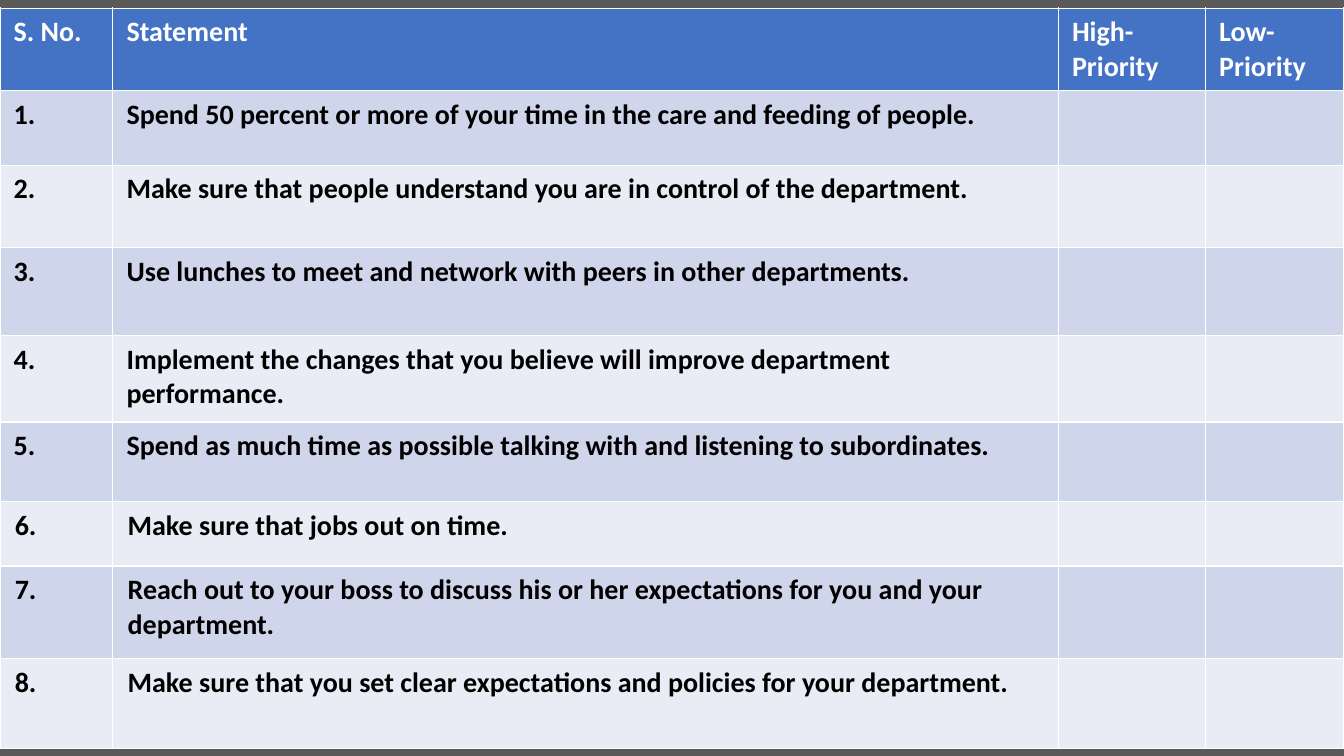
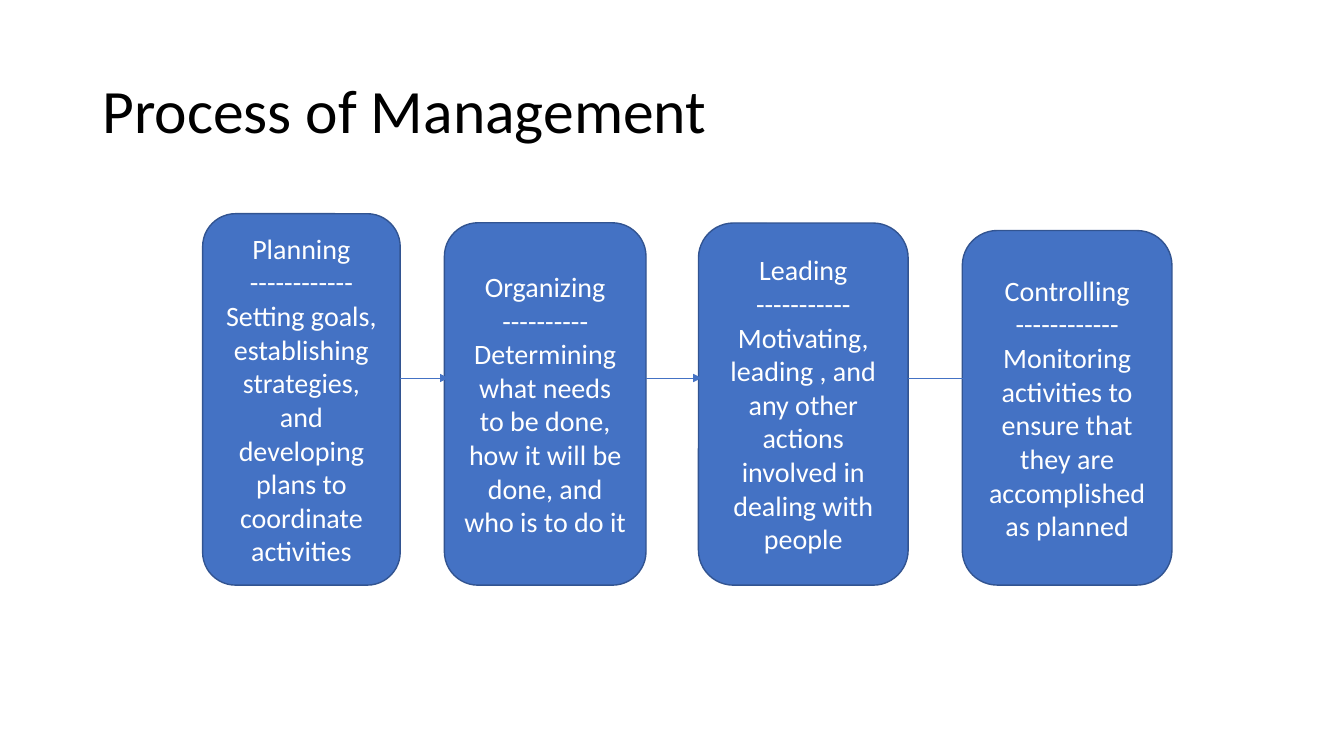
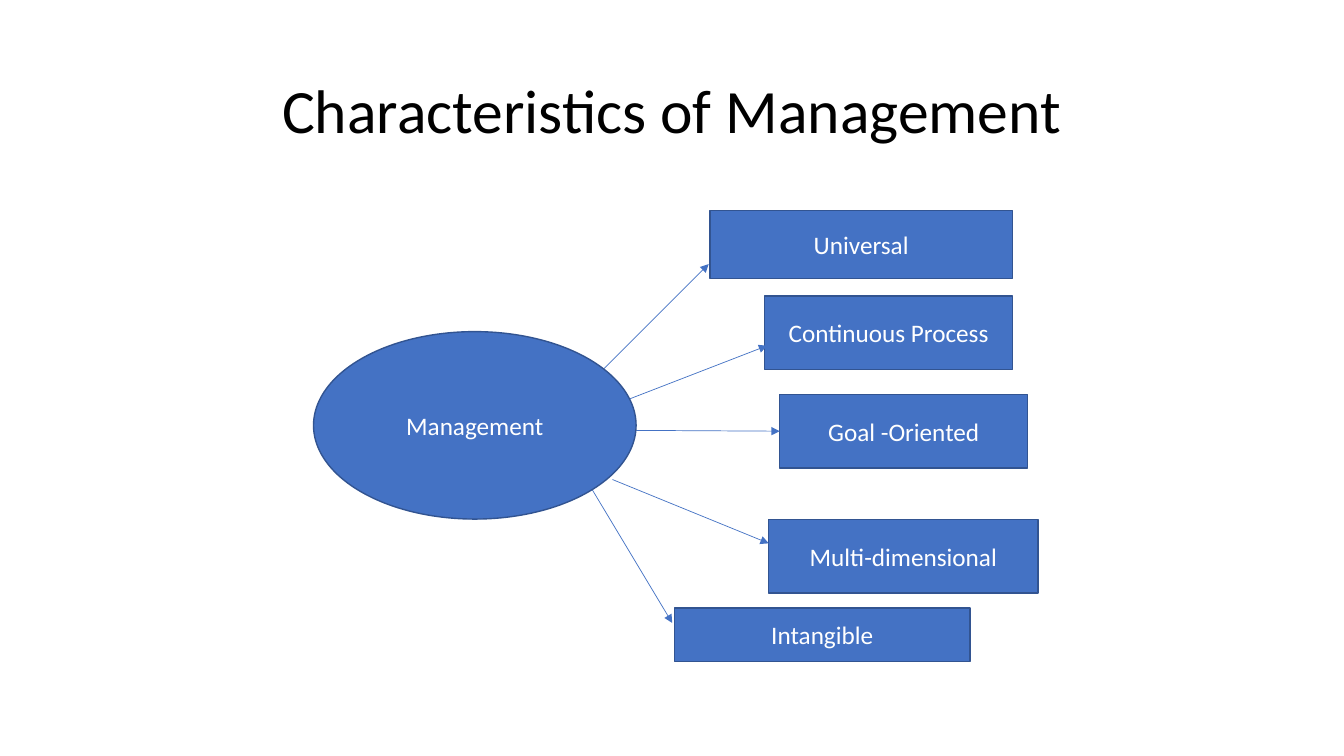
from dataclasses import dataclass
from lxml import etree
from pptx import Presentation, util as u
from pptx.dml.color import RGBColor
from pptx.enum import shapes, text
from pptx.oxml import ns


@dataclass(frozen=True)
class Theme:
    font: str = "Calibri"
    blue: str = "4472C4"
    edge: str = "325491"
    white: str = "FFFFFF"
    black: str = "000000"
    grey: str = "595959"
    bands: tuple = ("E9EBF5", "CFD5EA")
    title: int = 44
    body: int = 20
    label: int = 18


T = Theme()
WIDE, HIGH = u.Inches(13.333), u.Inches(7.5)
KIND = shapes.MSO_SHAPE
MID = text.MSO_ANCHOR.MIDDLE
LEFT, CENTER = text.PP_ALIGN.LEFT, text.PP_ALIGN.CENTER

HEADS = ("S. No.", "Statement", "High-Priority", "Low-Priority")
COLS = (8.4, 70.35, 10.95, 10.3)
ROWS = (10.75, 9.85, 10.93, 11.6, 11.45, 10.53, 8.53, 12.27, 11.87)
TASKS = (
    "Spend 50 percent or more of your time in the care and feeding of people.",
    "Make sure that people understand you are in control of the department.",
    "Use lunches to meet and network with peers in other departments.",
    "Implement the changes that you believe will improve department performance.",
    "Spend as much time as possible talking with and listening to subordinates.",
    "Make sure that jobs out on time.",
    "Reach out to your boss to discuss his or her expectations for you and your department.",
    "Make sure that you set clear expectations and policies for your department.",
)

FLOOR, LEVEL = 77.4, 50
STEPS = (
    (15.08, 28.27, 14.7, 33.37, "Planning\n------------\nSetting goals, establishing "
     "strategies, and developing plans to coordinate activities"),
    (33.07, 29.47, 15, 52.2, "Organizing\n----------\nDetermining what needs to be done, "
     "how it will be done, and who is to do it"),
    (51.97, 29.5, 15.6, 72.3, "Leading\n-----------\nMotivating, leading , and any other "
     "actions involved in dealing with people"),
    (71.6, 30.5, 15.6, None, "Controlling\n------------\nMonitoring activities to ensure "
     "that they are accomplished as planned"),
)

TRAITS = (
    ("Universal", (52.83, 27.83, 22.5, 9.03), (44.77, 49.07), (52.73, 34.93)),
    ("Continuous Process", (56.9, 39.17, 18.45, 9.73), (46.8, 52.8), (57.08, 45.73)),
    ("Goal -Oriented", (58.02, 52.17, 18.45, 9.73), (47.25, 56.93), None),
    ("Multi-dimensional", (57.2, 68.7, 20.03, 9.73), (45.57, 63.43), (57.2, 71.87)),
    ("Intangible", (50.18, 80.4, 22, 7.07), (44.03, 64.67), (50.02, 82.4)),
)


def across(share):
    return round(WIDE * share / 100)


def down(share):
    return round(HIGH * share / 100)


def place(area):
    x, y, w, h = area
    return across(x), down(y), across(w), down(h)


def tint(fill, color):
    fill.solid()
    fill.fore_color.rgb = RGBColor.from_string(color)


def write(frame, words, size, color, align=LEFT, bold=False):
    frame.text = words
    for par in frame.paragraphs:
        par.alignment = align
        for run in par.runs:
            font = run.font
            font.name, font.size, font.bold = T.font, u.Pt(size), bold
            font.color.rgb = RGBColor.from_string(color)


def title(slide, words, align=LEFT):
    frame = slide.shapes.add_textbox(*place((6.88, 5.32, 86.25, 19.33))).text_frame
    frame.word_wrap = True
    frame.vertical_anchor = MID
    write(frame, words, T.title, T.black, align)
    frame.paragraphs[0].line_spacing = 0.9


def panel(slide, kind, area, color):
    shape = slide.shapes.add_shape(kind, *place(area))
    shape.shadow.inherit = False
    tint(shape.fill, color)
    shape.line.fill.background()
    return shape


def node(slide, kind, area, words, size):
    shape = panel(slide, kind, area, T.blue)
    tint(shape.line.fill, T.edge)
    shape.line.width = u.Pt(1)
    frame = shape.text_frame
    frame.word_wrap = True
    frame.vertical_anchor = MID
    write(frame, words, size, T.white, CENTER)
    return shape


def arrow(slide, start, end):
    ends = [across(start[0]), down(start[1]), across(end[0]), down(end[1])]
    link = slide.shapes.add_connector(shapes.MSO_CONNECTOR.STRAIGHT, *ends)
    tint(link.line.fill, T.blue)
    link.line.width = u.Pt(0.5)
    etree.SubElement(link.line._get_or_add_ln(), ns.qn("a:tailEnd"), type="triangle")
    etree.SubElement(link._element.spPr, ns.qn("a:effectLst"))
    return link


def border(cell):
    props = cell._tc.get_or_add_tcPr()
    for spot, side in enumerate("LRTB"):
        line = etree.Element(ns.qn(f"a:ln{side}"), w=str(u.Pt(1)))
        fill = etree.SubElement(line, ns.qn("a:solidFill"))
        etree.SubElement(fill, ns.qn("a:srgbClr"), val=T.white)
        props.insert(spot, line)


def grid(slide, rows):
    area = (0, 1.07, sum(COLS), sum(ROWS))
    table = slide.shapes.add_table(len(ROWS), len(COLS), *place(area)).table
    for col, share in zip(table.columns, COLS):
        col.width = across(share)
    for row, share in zip(table.rows, ROWS):
        row.height = down(share)
    for r, words in enumerate(rows):
        for c, word in enumerate(words):
            cell = table.cell(r, c)
            cell.margin_left = cell.margin_right = across(1.02 if r < 6 else 1.1)
            cell.margin_top = cell.margin_bottom = down(0.93)
            tint(cell.fill, T.bands[r % 2] if r else T.blue)
            border(cell)
            write(cell.text_frame, word, T.body, T.black if r else T.white, bold=True)


def survey(slide):
    panel(slide, KIND.RECTANGLE, (0, 0, 100, 100), T.grey)
    panel(slide, KIND.RECTANGLE, (3.9, 7.07, 92.2, 86), T.white)
    tasks = [(f"{n}.", task, "", "") for n, task in enumerate(TASKS, 1)]
    grid(slide, [HEADS, *tasks])


def process(slide):
    title(slide, "Process of Management")
    for x, y, w, _, words in STEPS:
        node(slide, KIND.ROUNDED_RECTANGLE, (x, y, w, FLOOR - y), words, T.body)
    for x, _, w, end, _ in STEPS[:-1]:
        arrow(slide, (x + w, LEVEL), (end, LEVEL))


def traits(slide):
    title(slide, "Characteristics of Management", CENTER)
    for words, area, start, end in TRAITS:
        box = node(slide, KIND.RECTANGLE, area, words, T.label)
        link = arrow(slide, start, end or area[:2])
        if end is None:
            link.end_connect(box, 1)
    node(slide, KIND.OVAL, (23.33, 43.87, 24, 24.8), "Management", T.label)


def main():
    deck = Presentation()
    deck.slide_width, deck.slide_height = WIDE, HIGH
    for build in (survey, process, traits):
        build(deck.slides.add_slide(deck.slide_layouts[6]))
    deck.save("out.pptx")


if __name__ == "__main__":
    main()
